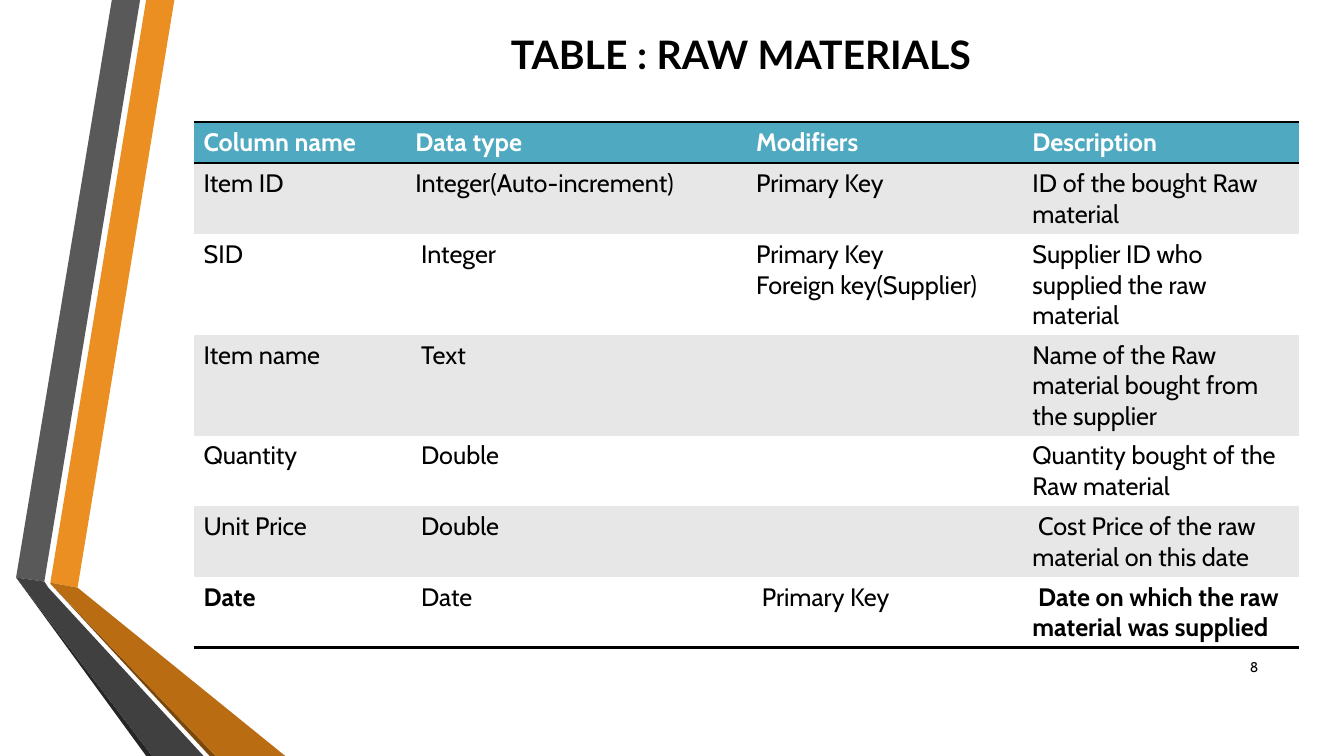
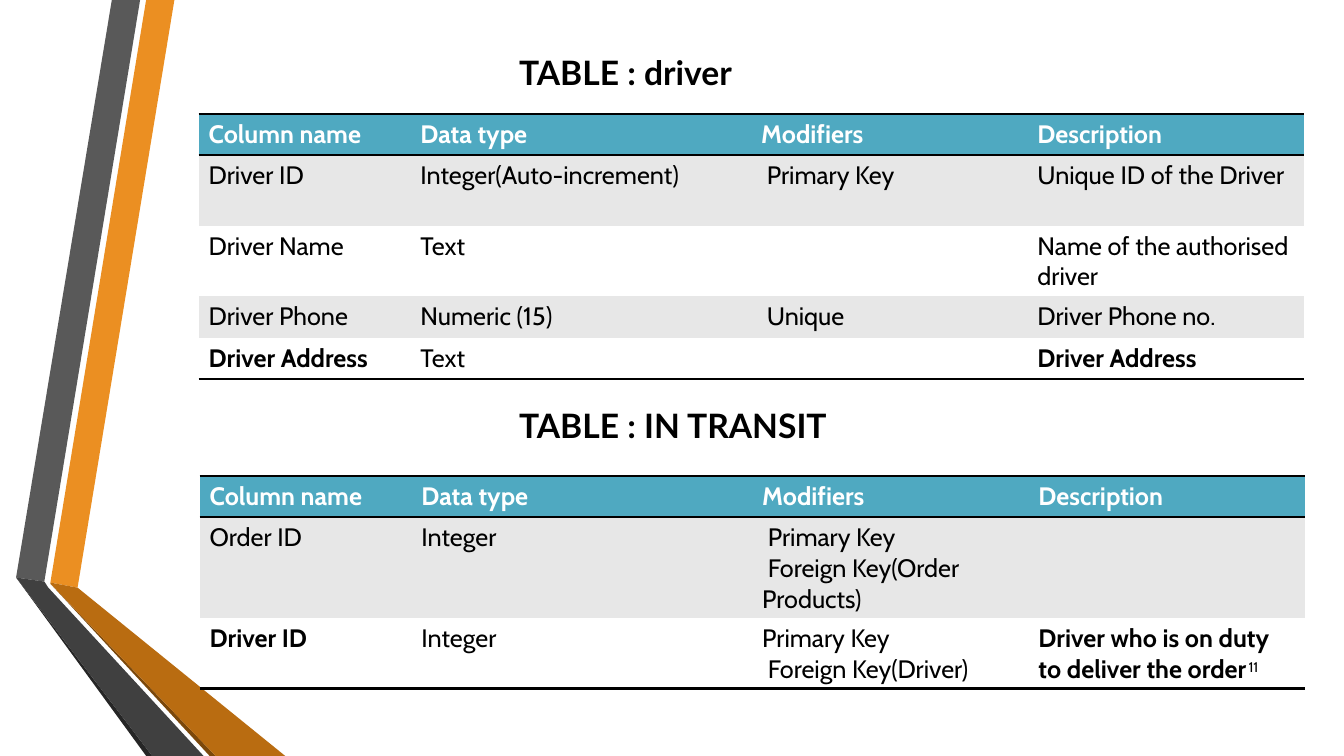
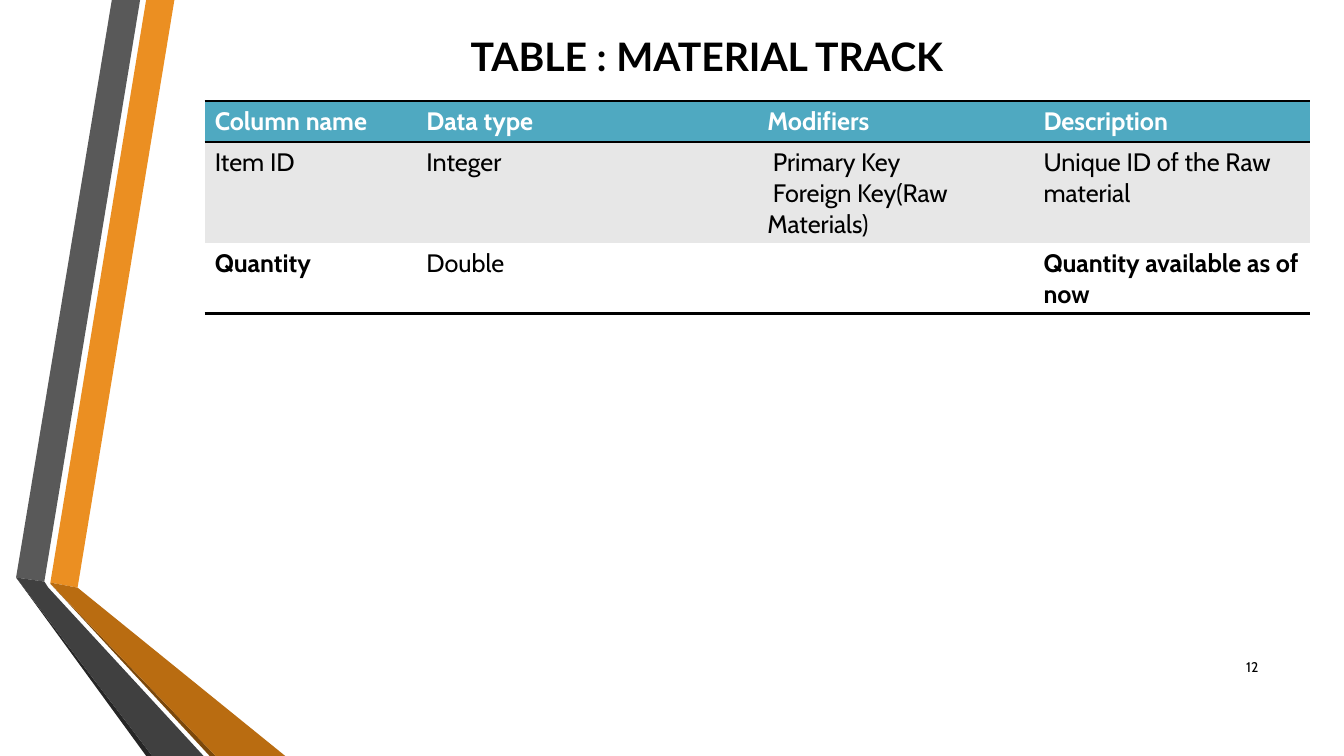
import pptx
import pptx.dml.color
import pptx.enum.text
import pptx.oxml
import pptx.oxml.ns
import pptx.util

PX = 9144  # EMU per px, 100 px to the inch
PAGE_SIZE = (1333, 750)

HEADING_FONT, BODY_FONT = "Lato", "Cabin"
BLACK, WHITE = "000000", "FFFFFF"
HEADER_FILL, STRIPE_FILL = "4FA9C1", "E7E7E7"
NO_STYLE = "{2D5ABB26-0587-4C30-8999-92F81FD0307C}"

COLUMN_WIDTHS = (210, 338, 274, 274)
ROW_HEIGHTS = {1: 41, 2: 70, 3: 100}  # by number of text lines
HEADER = ("Column name", "Data type", "Modifiers", "Description")

# Folded ribbon at the left edge, from back to front
RIBBON = (
    ("EB8F22", ((50, 578), (77, 583), (173, 0), (145, 0))),
    ("595959", ((139, 0), (111, 0), (16, 573), (44, 577))),
    ("262626", ((16, 573), (145, 750), (151, 750))),
    ("7B480B", ((50, 579), (208, 750), (214, 750))),
    ("B96C11", ((50, 579), (214, 750), (283, 750), (77, 583), (50, 578))),
    ("404040", ((202, 750), (48, 583), (44, 577), (16, 573), (151, 750))),
)


def emu(*lengths):
    return [pptx.util.Emu(length * PX) for length in lengths]


def color(value):
    return pptx.dml.color.RGBColor.from_string(value)


def write(frame, text, size=18, font=BODY_FONT, ink=BLACK, bold=False, align=None):
    """Put each line of the text in its own paragraph."""
    for number, line in enumerate(text.split("\n")):
        para = frame.add_paragraph() if number else frame.paragraphs[0]
        para.alignment = align
        span = para.add_run()
        span.text = line
        span.font.size = pptx.util.Pt(size)
        span.font.name = font
        span.font.bold = bold
        span.font.color.rgb = color(ink)


def rule_cell(cell, *edges):
    """Draw 2 pt lines on the given edges; they go before the fill."""
    properties = cell._tc.get_or_add_tcPr()
    for position, edge in enumerate(edges):
        properties.insert(position, pptx.oxml.parse_xml(
            f'<a:{edge} {pptx.oxml.ns.nsdecls("a")} w="{pptx.util.Pt(2)}">'
            f'<a:solidFill><a:srgbClr val="{BLACK}"/></a:solidFill></a:{edge}>'))


class Slides:
    def __init__(self):
        self.deck = pptx.Presentation()
        self.deck.slide_width, self.deck.slide_height = emu(*PAGE_SIZE)
        self.page = None

    def add_page(self):
        self.page = self.deck.slides.add_slide(self.deck.slide_layouts[6])
        self.add_ribbon()

    def add_ribbon(self):
        group = self.page.shapes.add_group_shape()
        for fill, points in RIBBON:
            outline = group.shapes.build_freeform(*points[0], scale=PX)
            outline.add_line_segments(points[1:], close=True)
            panel = outline.convert_to_shape()
            panel.shadow.inherit = False
            panel.fill.solid()
            panel.fill.fore_color.rgb = color(fill)
            panel.line.fill.background()

    def add_box(self, left, top, width, height):
        frame = self.page.shapes.add_textbox(*emu(left, top, width, height)).text_frame
        frame.word_wrap = True
        return frame

    def add_title(self, text, left, top, width=574, height=57, size=28):
        box = self.add_box(left, top, width, height)
        box.auto_size = pptx.enum.text.MSO_AUTO_SIZE.SHAPE_TO_FIT_TEXT
        write(box, text, size=size, font=HEADING_FONT, bold=True)

    def add_page_number(self, number):
        """Comes last on a page, so that it lies over the tables."""
        box = self.add_box(1198, 642, 60, 40)
        box.vertical_anchor = pptx.enum.text.MSO_ANCHOR.MIDDLE
        write(box, number, size=10, align=pptx.enum.text.PP_ALIGN.RIGHT)

    def add_table(self, left, top, rows):
        """Each row is its number of text lines followed by its cells."""
        rows = [(1, *HEADER), *rows]
        heights = [ROW_HEIGHTS[lines] for lines, *_ in rows]
        table = self.page.shapes.add_table(
            len(rows), len(HEADER),
            *emu(left, top, sum(COLUMN_WIDTHS), sum(heights))).table
        table.horz_banding = False
        table._tbl.tblPr.find(pptx.oxml.ns.qn("a:tableStyleId")).text = NO_STYLE
        for column, width in zip(table.columns, emu(*COLUMN_WIDTHS)):
            column.width = width
        for row, height in zip(table.rows, emu(*heights)):
            row.height = height

        last = len(rows) - 1
        for row, (_, *texts) in enumerate(rows):
            for column, text in enumerate(texts):
                cell = table.cell(row, column)
                is_header = row == 0
                is_bold = is_header or (row == last and column in (0, 3))
                fill = HEADER_FILL if is_header else STRIPE_FILL if row % 2 else WHITE
                cell.fill.solid()
                cell.fill.fore_color.rgb = color(fill)
                if text:
                    write(cell.text_frame, text, bold=is_bold,
                          ink=WHITE if is_header else BLACK)
                if is_header:
                    rule_cell(cell, "lnT", "lnB")
                elif row == last:
                    rule_cell(cell, "lnB")


def main():
    slides = Slides()

    # Raw materials
    slides.add_page()
    slides.add_title("TABLE : RAW MATERIALS", 497, 25)
    slides.add_table(192, 121, [
        (2, "Item ID", "Integer(Auto-increment)", "Primary Key",
         "ID of the bought Raw material"),
        (3, "SID", " Integer", "Primary Key\nForeign key(Supplier)",
         "Supplier ID who supplied the raw material"),
        (3, "Item name", " Text", "",
         "Name of the Raw material bought from the supplier"),
        (2, "Quantity", " Double", "", "Quantity bought of the Raw material"),
        (2, "Unit Price", " Double", "",
         " Cost Price of the raw material on this date"),
        (2, "Date", " Date", " Primary Key",
         " Date on which the raw material was supplied"),
    ])
    slides.add_page_number("8")

    # Driver and in transit
    slides.add_page()
    slides.add_table(197, 113, [
        (2, "Driver ID", "Integer(Auto-increment)", " Primary Key",
         "Unique ID of the Driver"),
        (2, "Driver Name", "Text", "", "Name of the authorised driver"),
        (1, "Driver Phone", "Numeric (15)", " Unique", "Driver Phone no."),
        (1, "Driver Address", "Text", "", "Driver Address"),
    ])
    slides.add_title("TABLE : driver", 505, 47, 309, 50, size=24)
    slides.add_table(198, 472, [
        (3, "Order ID", "Integer", " Primary Key\n Foreign Key(Order Products)", ""),
        (2, "Driver ID", "Integer", "Primary Key\n Foreign Key(Driver)",
         "Driver who is on duty to deliver the order"),
    ])
    slides.add_title("TABLE : IN TRANSIT", 505, 397, 339, 50, size=24)
    slides.add_page_number("11")

    # Material track
    slides.add_page()
    slides.add_title("TABLE : MATERIAL TRACK", 457, 27)
    slides.add_table(203, 100, [
        (3, "Item ID", "Integer", " Primary Key\n Foreign Key(Raw Materials)",
         "Unique ID of the Raw material"),
        (2, "Quantity", "Double", "", "Quantity available as of now"),
    ])
    slides.add_page_number("12")

    slides.deck.save("out.pptx")


if __name__ == "__main__":
    main()
